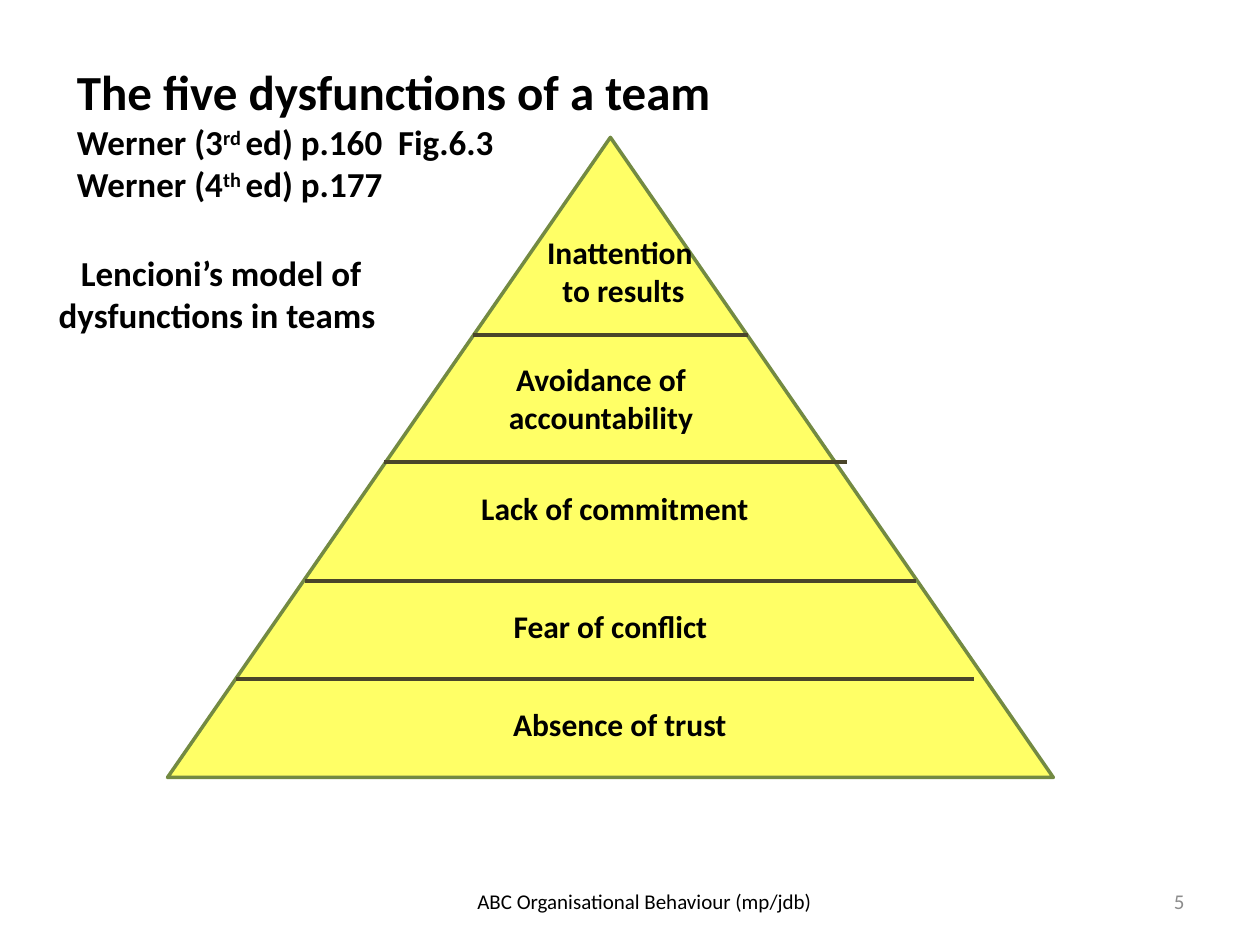
from dataclasses import dataclass

import pptx
import pptx.dml.color
import pptx.enum.shapes
import pptx.enum.text
import pptx.oxml.ns
import pptx.util
from lxml import etree

Inches = pptx.util.Inches
Pt = pptx.util.Pt
ALIGN = pptx.enum.text.PP_ALIGN
ANCHOR = pptx.enum.text.MSO_ANCHOR

FONT = "Calibri"
COLORS = {
    "text": "000000",
    "number": "8C8C8C",
    "pyramid": "FFFF66",
    "outline": "738A42",
    "divider": "4A452A",
}


@dataclass
class Run:
    text: str
    size: float = 18
    bold: bool = True
    color: str = "text"
    superscript: bool = False


@dataclass
class Label:
    left: float
    top: float
    width: float
    height: float
    paragraphs: list[list[Run]]
    align: ALIGN = ALIGN.CENTER
    anchor: ANCHOR = ANCHOR.TOP


@dataclass
class Divider:
    left: float
    right: float
    y: float


def rgb(name: str) -> pptx.dml.color.RGBColor:
    return pptx.dml.color.RGBColor.from_string(COLORS[name])


def fill_text(sp, label: Label) -> None:
    tf = sp.text_frame
    tf.word_wrap = True
    tf.auto_size = pptx.enum.text.MSO_AUTO_SIZE.NONE
    tf.vertical_anchor = label.anchor
    for i, runs in enumerate(label.paragraphs):
        p = tf.add_paragraph() if i else tf.paragraphs[0]
        p.alignment = label.align
        for run in runs:
            r = p.add_run()
            r.text = run.text
            r.font.name = FONT
            r.font.size = Pt(run.size)
            r.font.bold = run.bold
            r.font.color.rgb = rgb(run.color)
            if run.superscript:
                r._r.get_or_add_rPr().set("baseline", "30000")


def add_label(slide, label: Label) -> None:
    sp = slide.shapes.add_textbox(Inches(label.left), Inches(label.top),
                                  Inches(label.width), Inches(label.height))
    fill_text(sp, label)


def add_divider(slide, d: Divider) -> None:
    sp = slide.shapes.add_connector(
        pptx.enum.shapes.MSO_CONNECTOR.STRAIGHT,
        Inches(d.left), Inches(d.y), Inches(d.right), Inches(d.y))
    sp.line.color.rgb = rgb("divider")
    sp.line.width = Pt(2.25)
    etree.SubElement(sp._element.spPr, pptx.oxml.ns.qn("a:effectLst"))


def edition(number: str, suffix: str, page: str) -> list[Run]:
    return [Run(f"Werner ({number}", 20),
            Run(f"{suffix} ", 20, superscript=True),
            Run(f"ed) {page}", 20)]


TITLE = Label(0.51, 0.44, 6.58, 1.25, [
    [Run("The five dysfunctions of a team", 28)],
    edition("3", "rd", "p.160  Fig.6.3"),
    edition("4", "th", "p.177"),
], ALIGN.LEFT)

DIVIDERS = [
    Divider(3.75, 5.94, 2.66),
    Divider(3.05, 6.72, 3.67),
    Divider(2.42, 7.27, 4.61),
    Divider(1.87, 7.73, 5.39),
]

LABELS = [
    # Pyramid levels, top to bottom
    Label(3.98, 1.8, 1.88, 0.71, [[Run("Inattention")], [Run(" to results")]]),
    Label(3.83, 2.81, 1.88, 0.71, [[Run("Avoidance of accountability")]]),
    Label(3.2, 3.83, 3.36, 0.4, [[Run("Lack of commitment")]]),
    Label(3.75, 4.77, 2.19, 0.4, [[Run("Fear of conflict")]]),
    Label(3.28, 5.55, 3.28, 0.4, [[Run("Absence of trust")]]),
    # Side caption
    Label(0.31, 1.95, 2.89, 1.11,
          [[Run("Lencioni’s model of dysfunctions in teams ", 20)]]),
    # Footer and page number
    Label(2.5, 6.95, 5.23, 0.4,
          [[Run("ABC Organisational Behaviour (mp/jdb)", 12, False)]],
          anchor=ANCHOR.MIDDLE),
    Label(7.17, 6.95, 2.33, 0.4, [[Run("5", 12, False, "number")]],
          ALIGN.RIGHT, ANCHOR.MIDDLE),
]

prs = pptx.Presentation()
prs.slide_width = Inches(10)
prs.slide_height = Inches(7.5)
slide = prs.slides.add_slide(prs.slide_layouts[5])

# Title
title = slide.shapes.title
title.left, title.top = Inches(TITLE.left), Inches(TITLE.top)
title.width, title.height = Inches(TITLE.width), Inches(TITLE.height)
fill_text(title, TITLE)

# Pyramid
pyramid = slide.shapes.add_shape(
    pptx.enum.shapes.MSO_SHAPE.ISOSCELES_TRIANGLE,
    Inches(1.33), Inches(1.09), Inches(7.03), Inches(5.08))
pyramid.shadow.inherit = False
pyramid.fill.solid()
pyramid.fill.fore_color.rgb = rgb("pyramid")
pyramid.line.color.rgb = rgb("outline")
pyramid.line.width = Pt(2)

# Level dividers and text
for divider in DIVIDERS:
    add_divider(slide, divider)
for label in LABELS:
    add_label(slide, label)

prs.save("out.pptx")
